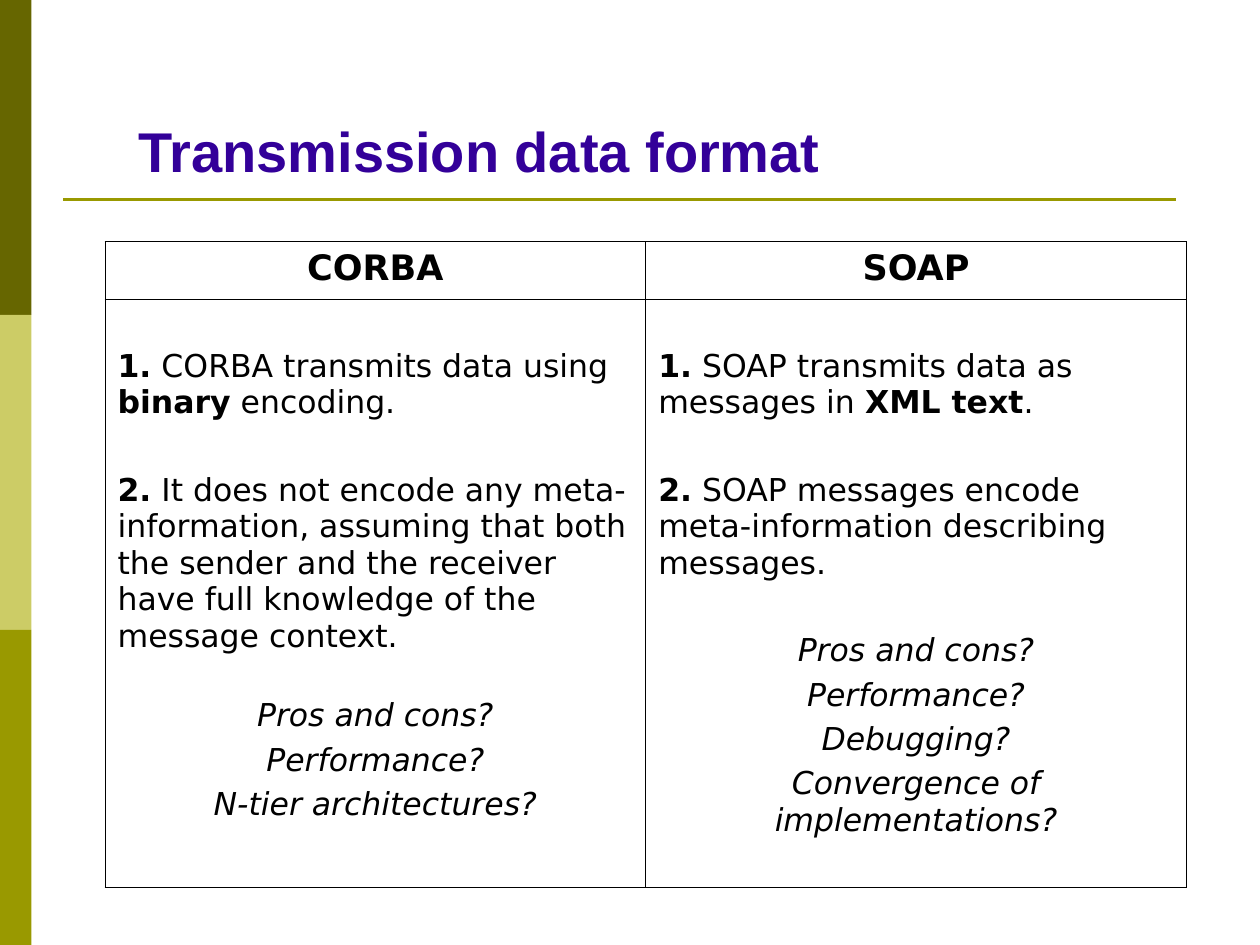
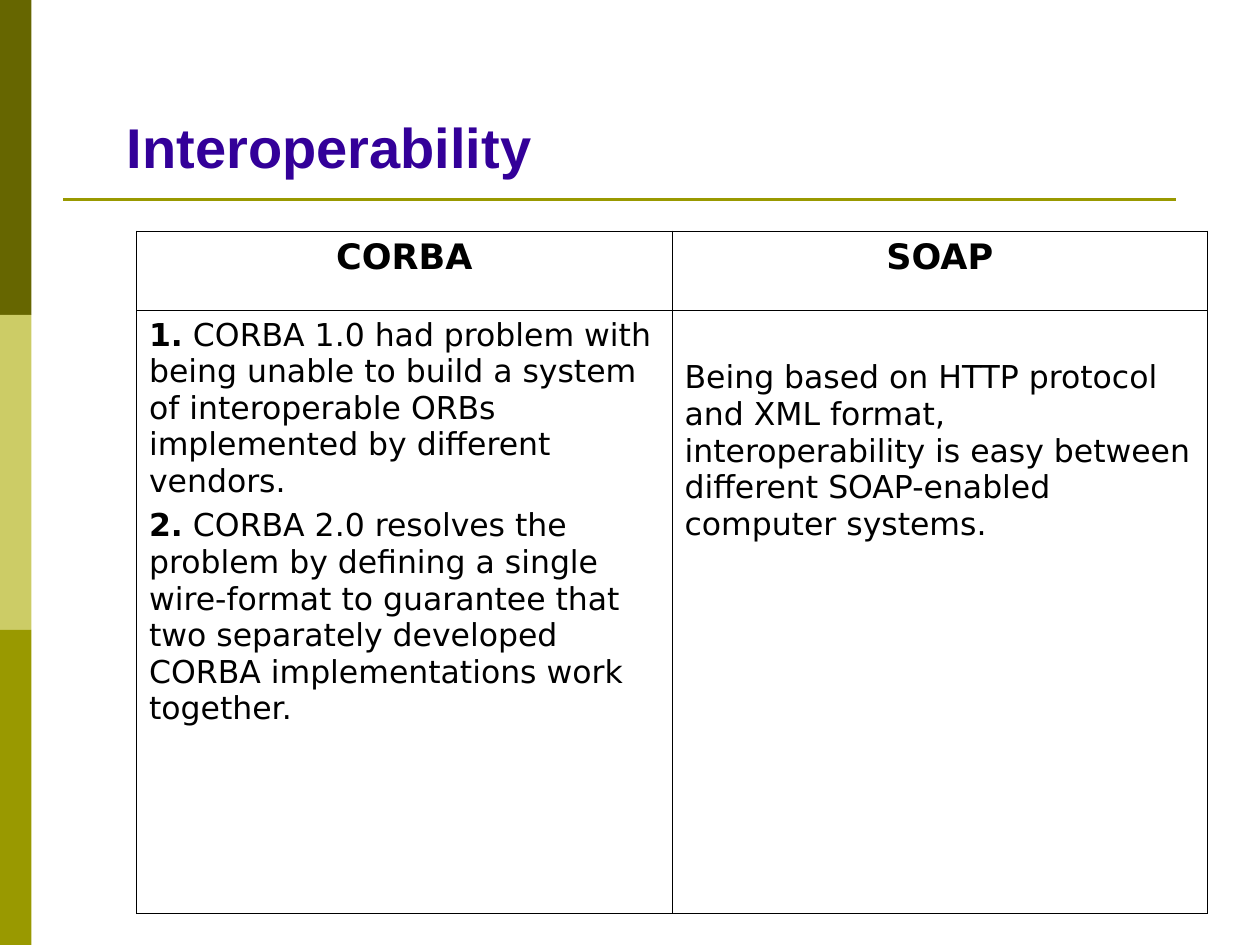
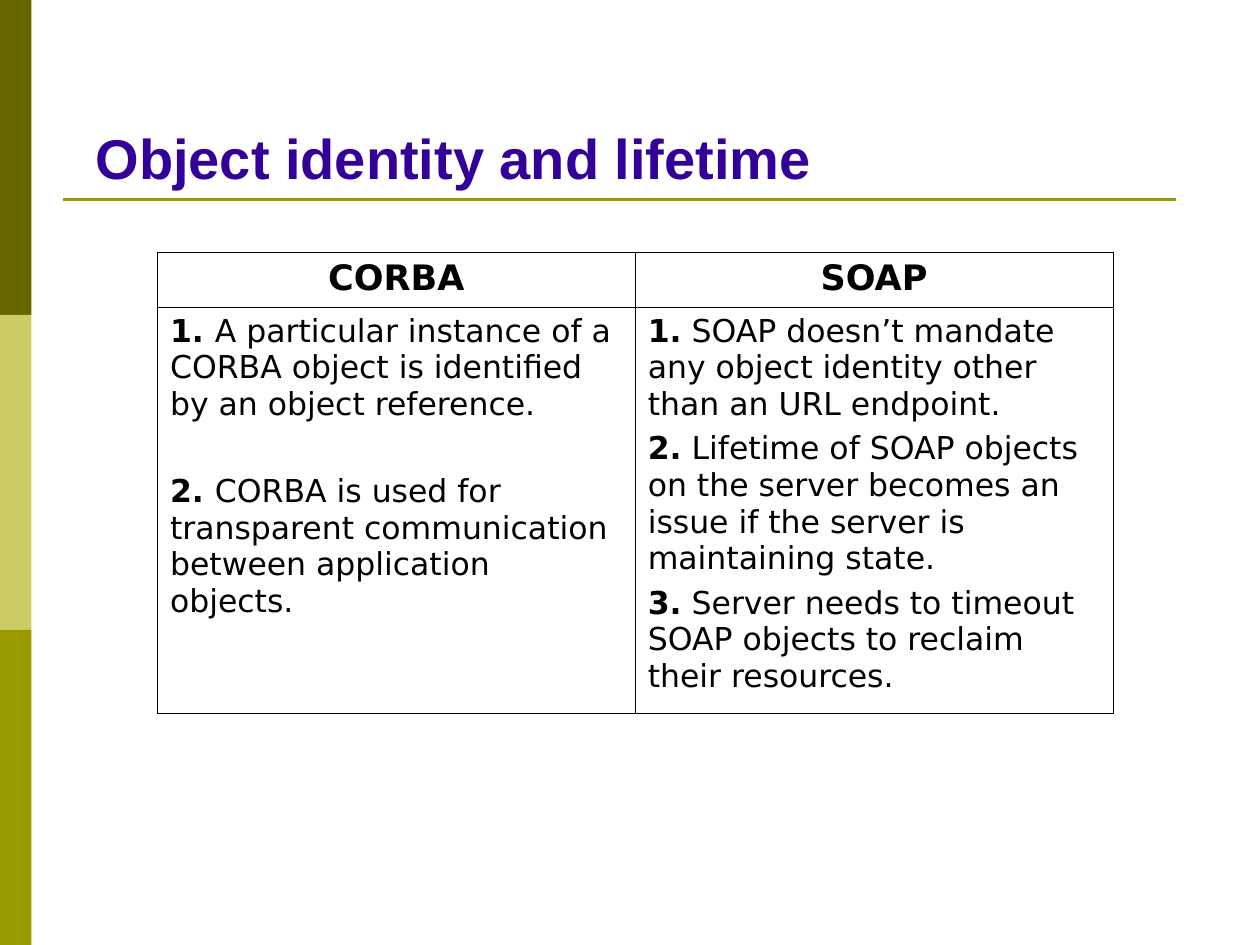
from lxml import etree
from pptx import Presentation
from pptx.dml.color import RGBColor
from pptx.enum import shapes, text
from pptx.oxml import ns
from pptx.util import Pt

OLIVE_DARK = RGBColor(0x66, 0x66, 0x00)
OLIVE_LIGHT = RGBColor(0xCC, 0xCC, 0x66)
OLIVE = RGBColor(0x99, 0x99, 0x00)
INDIGO = RGBColor(0x33, 0x00, 0x99)
BLACK = RGBColor(0x00, 0x00, 0x00)

TITLE_FONT = "Arial"
BODY_FONT = "DejaVu Sans"
SLIDE_W, SLIDE_H = 720, 540
MARGIN_X, MARGIN_Y = 7.2, 3.6
TIGHT, QUESTION_GAP, WIDE = 4.5, 24.5, 29
LOW_START = 28
CENTER = text.PP_ALIGN.CENTER


def add_text(p, content, size=18, font=BODY_FONT, color=BLACK, bold=False,
             italic=False, align=text.PP_ALIGN.LEFT, before=0):
    """Fill a paragraph, setting the parts between ** marks in bold."""
    p.alignment = align
    p.space_before = Pt(before)
    for i, part in enumerate(content.split("**")):
        if part:
            r = p.add_run()
            r.text = part
            r.font.size = Pt(size)
            r.font.name = font
            r.font.color.rgb = color
            r.font.bold = bold or i % 2 == 1
            r.font.italic = italic


def add_frame(s):
    """Draw the side bands and the rule under the title."""
    band_h = SLIDE_H / 3
    for i, color in enumerate((OLIVE_DARK, OLIVE_LIGHT, OLIVE)):
        sp = s.shapes.add_shape(shapes.MSO_SHAPE.RECTANGLE,
                                0, Pt(i * band_h), Pt(18), Pt(band_h))
        sp.shadow.inherit = False
        sp.fill.solid()
        sp.fill.fore_color.rgb = color
        sp.line.fill.background()
    rule = s.shapes.add_connector(shapes.MSO_CONNECTOR.STRAIGHT,
                                  Pt(36), Pt(114), Pt(672), Pt(114))
    rule.line.color.rgb = OLIVE
    rule.line.width = Pt(1.5)
    etree.SubElement(rule._element.spPr, ns.qn("a:effectLst"))


def add_title(s, title, left, top, width):
    """Place the slide title."""
    tf = s.shapes.add_textbox(Pt(left), Pt(top), Pt(width), Pt(46)).text_frame
    tf.word_wrap = True
    tf.margin_left = tf.margin_right = Pt(MARGIN_X)
    tf.margin_top, tf.margin_bottom = Pt(6.5), Pt(2)
    add_text(tf.paragraphs[0], title, size=32, font=TITLE_FONT,
             color=INDIGO, bold=True)


def style_cell(cell, top=MARGIN_Y):
    """Give a cell its margins, thin black borders and no fill."""
    cell.margin_left = cell.margin_right = Pt(MARGIN_X)
    cell.margin_top, cell.margin_bottom = Pt(top), Pt(MARGIN_Y)
    tc_pr = cell._tc.get_or_add_tcPr()
    for side in "LRTB":
        ln = etree.SubElement(tc_pr, ns.qn(f"a:ln{side}"), w=str(Pt(0.45)))
        fill = etree.SubElement(ln, ns.qn("a:solidFill"))
        etree.SubElement(fill, ns.qn("a:srgbClr"), val=str(BLACK))
    cell.fill.background()


def add_comparison(s, left, top, width, row_heights, columns):
    """Build the CORBA and SOAP table from (top margin, paragraphs) columns."""
    table = s.shapes.add_table(2, 2, Pt(left), Pt(top), Pt(width),
                               Pt(sum(row_heights))).table
    table.first_row = table.horz_banding = False
    for row, height in zip(table.rows, row_heights):
        row.height = Pt(height)
    for i, (head, (margin, paragraphs)) in enumerate(
            zip(("CORBA", "SOAP"), columns)):
        table.columns[i].width = Pt(width / 2)
        header, body = table.cell(0, i), table.cell(1, i)
        style_cell(header)
        style_cell(body, top=margin)
        add_text(header.text_frame.paragraphs[0], head, size=20, bold=True,
                 align=CENTER)
        tf = body.text_frame
        for n, (content, fmt) in enumerate(paragraphs):
            p = tf.add_paragraph() if n else tf.paragraphs[0]
            add_text(p, content, **fmt)


def points(*contents, before=TIGHT):
    """Return body paragraphs, spaced apart after the first."""
    return [(c, {"before": before if n else 0})
            for n, c in enumerate(contents)]


def questions(*contents, before):
    """Return centred italic questions, the first set off from the points."""
    return [(c, {"italic": True, "align": CENTER,
                 "before": TIGHT if n else before})
            for n, c in enumerate(contents)]


SLIDES = [
    (("Transmission data format", 72, 60, 510),
     (60, 138, 618, (33, 336)),
     [(LOW_START, points(
         "**1.** CORBA transmits data using **binary** encoding.",
         "**2.** It does not encode any meta-information, assuming that both "
         "the sender and the receiver have full knowledge of the message "
         "context.", before=WIDE)
       + questions("Pros and cons?", "Performance?", "N-tier architectures?",
                   before=QUESTION_GAP)),
      (LOW_START, points(
          "**1.** SOAP transmits data as messages in **XML text**.",
          "**2.** SOAP messages encode meta-information describing messages.",
          before=WIDE)
       + questions("Pros and cons?", "Performance?", "Debugging?",
                   "Convergence of implementations?", before=WIDE))]),
    (("Interoperability", 65.5, 58, 255),
     (78, 132, 612, (45.6, 344.4)),
     [(MARGIN_Y, points(
         "**1.** CORBA 1.0 had problem with being unable to build a system of "
         "interoperable ORBs implemented by different vendors.",
         "**2.** CORBA 2.0 resolves the problem by defining a single "
         "wire-format to guarantee that two separately developed CORBA "
         "implementations work together.")),
      (LOW_START, points(
          "Being based on HTTP protocol and XML format, interoperability is "
          "easy between different SOAP-enabled computer systems."))]),
    (("Object identity and lifetime", 47.5, 64, 433),
     (90, 144, 546, (31.4, 232.4)),
     [(MARGIN_Y, points(
         "**1. **A particular instance of a CORBA object is identified by an "
         "object reference.",
         "**2. **CORBA is used for transparent communication between "
         "application objects.", before=WIDE)),
      (MARGIN_Y, points(
          "**1.** SOAP doesn’t mandate any object identity other than an URL "
          "endpoint.",
          "**2.** Lifetime of SOAP objects on the server becomes an issue if "
          "the server is maintaining state.",
          "**3.** Server needs to timeout SOAP objects to reclaim their "
          "resources."))]),
]


def main():
    """Build the slides and save the deck."""
    prs = Presentation()
    prs.slide_width, prs.slide_height = Pt(SLIDE_W), Pt(SLIDE_H)
    for title, box, columns in SLIDES:
        s = prs.slides.add_slide(prs.slide_layouts[6])
        add_frame(s)
        add_title(s, *title)
        add_comparison(s, *box, columns)
    prs.save("out.pptx")


if __name__ == "__main__":
    main()
